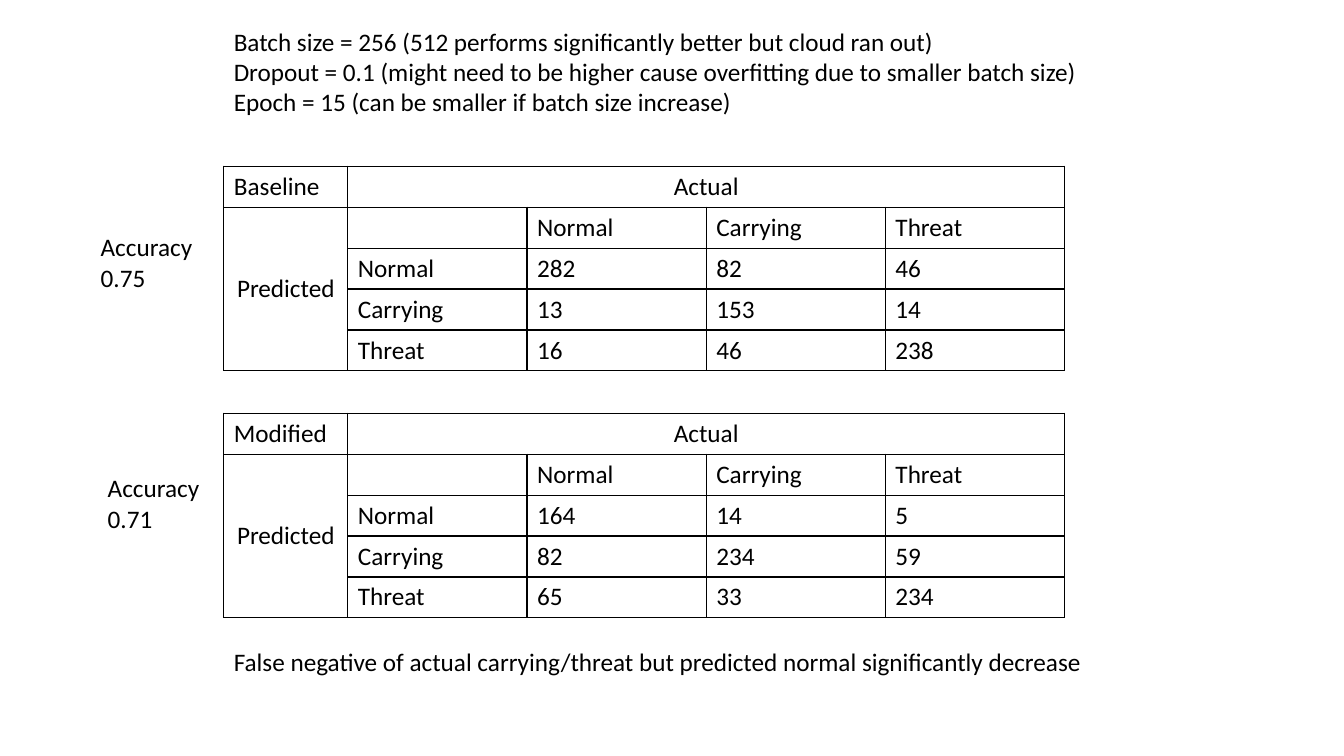
from dataclasses import dataclass
from lxml.etree import SubElement as Sub
from pptx import Presentation
from pptx.dml.color import RGBColor as RGB
from pptx.enum.text import MSO_ANCHOR as Anchor, PP_ALIGN as Align
from pptx.oxml.ns import qn
from pptx.util import Inches, Pt


@dataclass(frozen=True)
class Theme:
    font: str = "Calibri"
    size: int = 18
    ink: str = "000000"
    rule: int = 1


THEME = Theme()
NAMES = ["Normal", "Carrying", "Threat"]


def write(para, text, align=Align.LEFT):
    para.alignment = align
    run = para.add_run()
    run.text = text
    font = run.font
    font.name, font.size, font.bold = THEME.font, Pt(THEME.size), False
    font.color.rgb = RGB.from_string(THEME.ink)


def note(slide, box, lines):
    """Wrapped text, one paragraph per line."""
    frame = slide.shapes.add_textbox(*map(Inches, box)).text_frame
    frame.word_wrap = True
    for i, line in enumerate(lines):
        write(frame.add_paragraph() if i else frame.paragraphs[0], line)


def border(cell):
    props = cell._tc.get_or_add_tcPr()
    for side in ("lnL", "lnR", "lnT", "lnB"):
        line = Sub(props, qn(f"a:{side}"), w=str(Pt(THEME.rule)))
        fill = Sub(line, qn("a:solidFill"))
        Sub(fill, qn("a:srgbClr"), val=THEME.ink)


def matrix(slide, box, title, counts):
    """Confusion matrix: predicted rows against actual columns."""
    left, top, width, height = box
    rows, cols, first = 5, 5, 1.23
    table = slide.shapes.add_table(rows, cols, *map(Inches, box)).table
    table.first_row = table.horz_banding = False
    for i, col in enumerate(table.columns):
        col.width = Inches((width - first) / (cols - 1) if i else first)
    for row in table.rows:
        row.height = Inches(height / rows)
    for cell in table.iter_cells():
        border(cell)
        cell.fill.background()

    # Spanning headings
    table.cell(0, 1).merge(table.cell(0, cols - 1))
    table.cell(1, 0).merge(table.cell(rows - 1, 0))
    table.cell(1, 0).vertical_anchor = Anchor.MIDDLE
    write(table.cell(0, 0).text_frame.paragraphs[0], title)
    for spot, text in (((0, 1), "Actual"), ((1, 0), "Predicted")):
        write(table.cell(*spot).text_frame.paragraphs[0], text, Align.CENTER)

    # Class names and counts
    grid = [["", *NAMES]] + [[n, *c] for n, c in zip(NAMES, counts)]
    for r, line in enumerate(grid, 1):
        for c, value in enumerate(line, 1):
            para = table.cell(r, c).text_frame.paragraphs[0]
            if value == "":
                para.font.size = Pt(THEME.size)
            else:
                write(para, str(value))


def results(slide, box):
    """Settings, the two matrices with their accuracy, and the finding."""
    left, top, width, height = box
    note(slide, (left, top, width, 1.31), [
        "Batch size = 256 (512 performs significantly better but cloud ran out)",
        "Dropout = 0.1 (might need to be higher cause overfitting due to smaller batch size)",
        "Epoch = 15 (can be smaller if batch size increase)",
    ])
    models = [
        ("Baseline", 1.44, [(282, 82, 46), (13, 153, 14), (16, 46, 238)],
         "0.75", (-1.32, 2.04)),
        ("Modified", 3.89, [(164, 14, 5), (82, 234, 59), (65, 33, 234)],
         "0.71", (-1.25, 4.43)),
    ]
    for title, down, counts, score, (dx, dy) in models:
        matrix(slide, (left, top + down, 8.34, 2.03), title, counts)
        note(slide, (left + dx, top + dy, 1.12, 0.71), [f"Accuracy {score}"])
    note(slide, (left, top + height - 0.71, width, 0.71), [
        "False negative of actual carrying/threat but predicted normal significantly decrease",
    ])


deck = Presentation()
deck.slide_width, deck.slide_height = Inches(13.33), Inches(7.5)
page = deck.slides.add_slide(deck.slide_layouts[6])
results(page, (2.22, 0.21, 8.61, 6.86))
deck.save("out.pptx")
